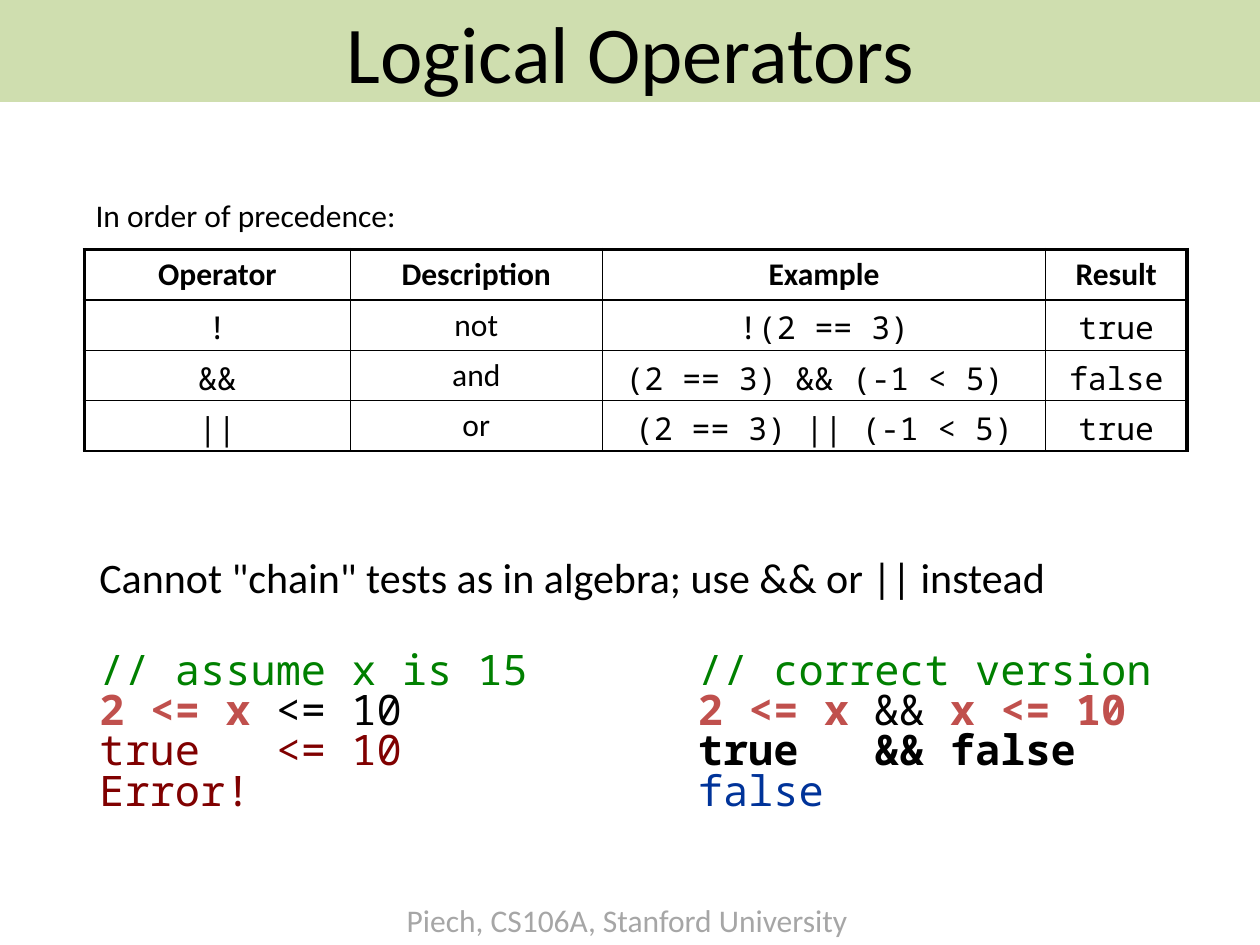
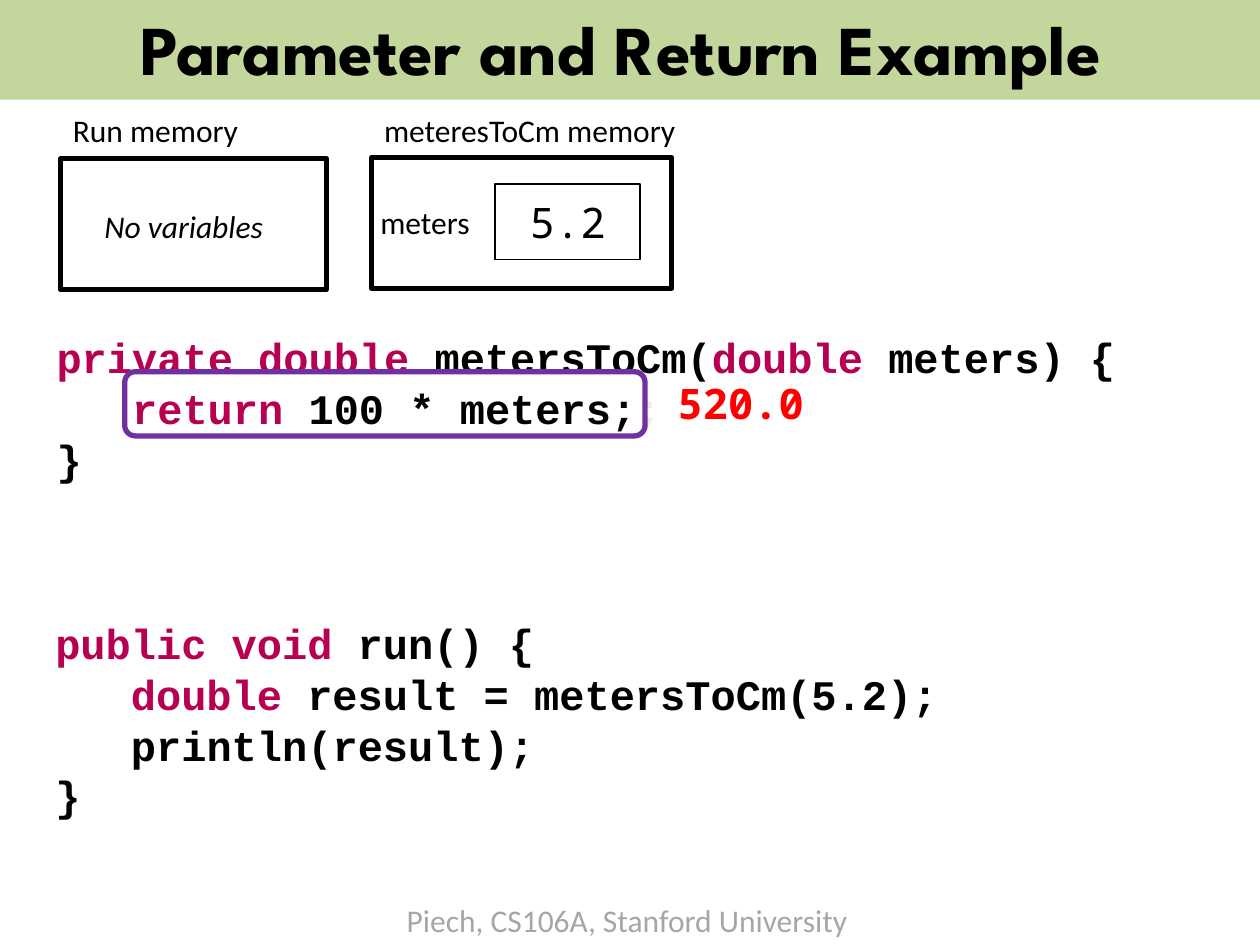
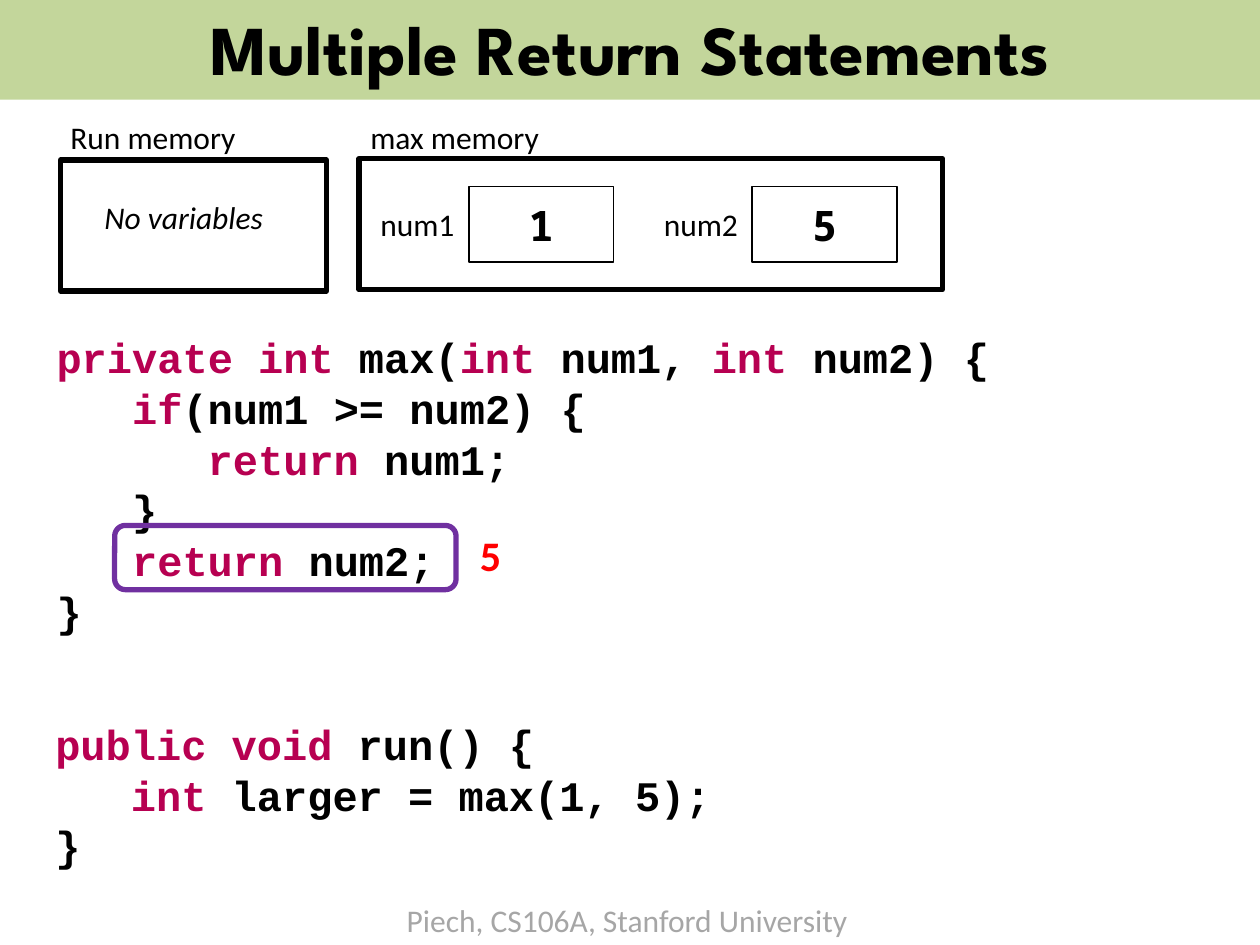
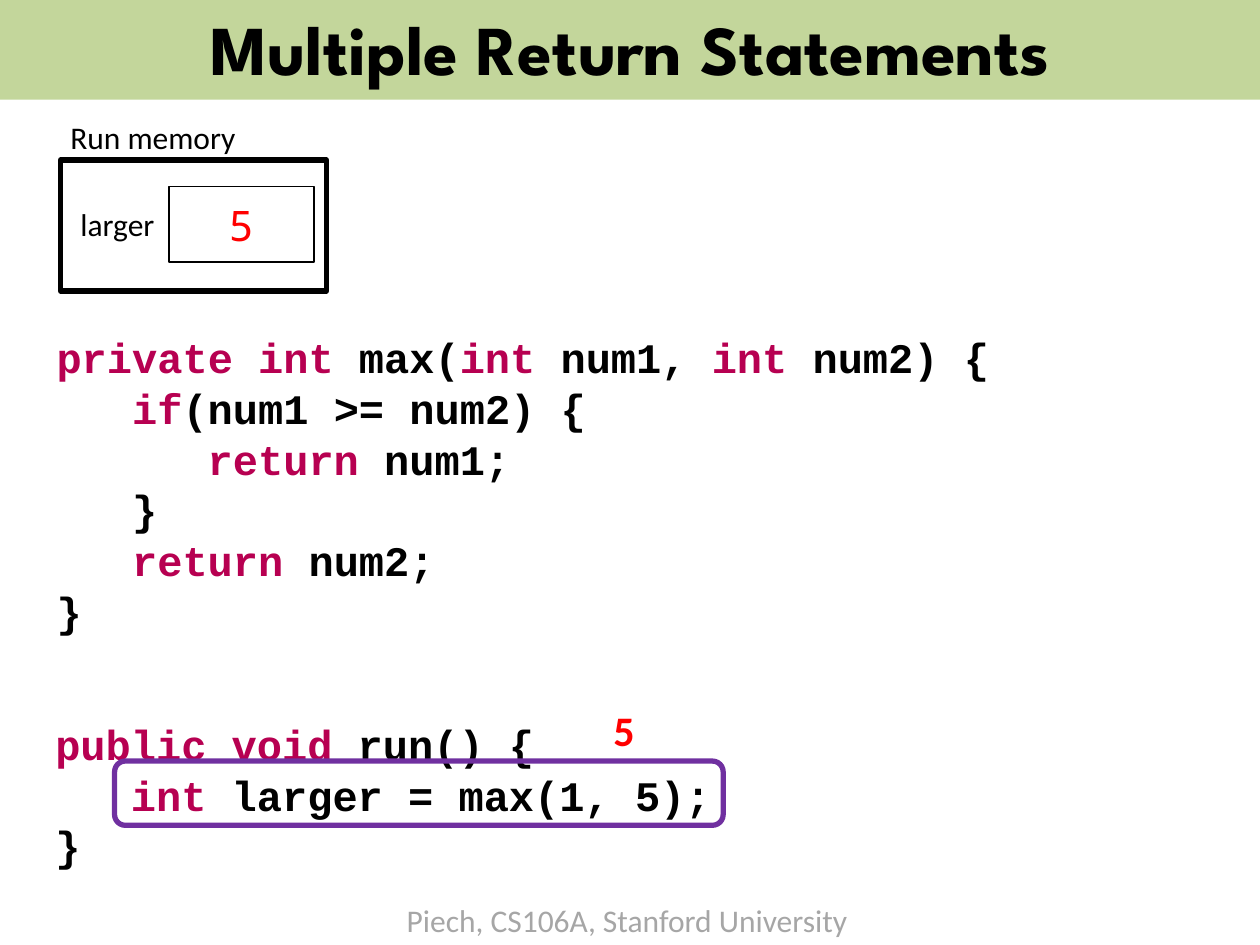
from lxml.etree import SubElement
from pptx import Presentation
from pptx.dml.color import RGBColor
from pptx.enum.shapes import MSO_SHAPE as SHAPE
from pptx.enum.text import MSO_ANCHOR as ANCHOR, MSO_AUTO_SIZE as AUTO, PP_ALIGN as ALIGN
from pptx.oxml.ns import qn
from pptx.util import Inches, Pt

BLACK, GREEN, GREY, PALE = "000000", "C3D69B", "A6A6A6", "EEECE1"
KEYWORD, PURPLE, RED = "B70051", "7030A0", "FF0000"
COMMENT, BRICK, MAROON, NAVY = "008000", "C0504D", "800000", "003399"
SANS, TITLE, MONO, CODE = "Calibri", "League Spartan", "Noto Sans Mono", "Courier New"
FOOTER = "Piech, CS106A, Stanford University"
COLUMNS, ROWS = 100, 75


def rgb(hex_string):
    """Turn a hex string into a colour."""
    return RGBColor.from_string(hex_string)


def code_runs(line):
    """Split a code line into runs; backquotes enclose keywords."""
    return [(text, KEYWORD if i % 2 else BLACK, True)
            for i, text in enumerate(line.split("`")) if text]


class Deck:
    """Lecture slides on a grid of 100 columns by 75 rows."""

    def __init__(self):
        """Start an empty 4:3 presentation."""
        self.prs = Presentation()
        self.prs.slide_width, self.prs.slide_height = Inches(10), Inches(7.5)
        self.s = None

    def place(self, x, y, w, h):
        """Turn grid units into lengths."""
        col = self.prs.slide_width / COLUMNS
        row = self.prs.slide_height / ROWS
        return round(x * col), round(y * row), round(w * col), round(h * row)

    def style(self, font, size=18, color=BLACK, name=SANS, bold=False, italic=False):
        """Format a font."""
        font.size, font.name, font.bold, font.italic = Pt(size), name, bold, italic
        font.color.rgb = rgb(color)

    def slide(self, title, y=-0.3, h=8.2, size=40, name=TITLE, bold=True, alpha=None):
        """Add a slide with its title band and footer."""
        self.s = self.prs.slides.add_slide(self.prs.slide_layouts[6])
        self.text(FOOTER, 31.3, 71, 37.4, color=GREY)
        band = self.shape(0, y, 100, h, text=title, fill=GREEN, size=size, name=name, bold=bold)
        if alpha:
            color = band.fill._xPr.find(qn("a:solidFill"))[0]
            SubElement(color, qn("a:alpha"), val=str(alpha * 1000))

    def shape(self, x, y, w, h, kind=SHAPE.RECTANGLE, text="", fill=None,
              line=None, width=1, **font):
        """Add a preset shape with centred text."""
        sp = self.s.shapes.add_shape(kind, *self.place(x, y, w, h))
        sp.shadow.inherit = False
        if fill:
            sp.fill.solid()
            sp.fill.fore_color.rgb = rgb(fill)
        else:
            sp.fill.background()
        if line:
            sp.line.color.rgb = rgb(line)
            sp.line.width = Pt(width)
        else:
            sp.line.fill.background()
        if text:
            tf = sp.text_frame
            tf.text = text
            tf.vertical_anchor = ANCHOR.MIDDLE
            tf.paragraphs[0].alignment = ALIGN.CENTER
            self.style(tf.paragraphs[0].runs[0].font, **font)
        return sp

    def text(self, text, x, y, w, h=4, **font):
        """Add a one-line label."""
        tf = self.s.shapes.add_textbox(*self.place(x, y, w, h)).text_frame
        tf.word_wrap = False
        tf.auto_size = AUTO.SHAPE_TO_FIT_TEXT
        tf.text = text
        self.style(tf.paragraphs[0].runs[0].font, **font)
        return tf

    def fill_runs(self, p, runs, name):
        """Fill a paragraph with (text, colour, bold) runs."""
        for text, color, bold in runs:
            r = p.add_run()
            r.text = text
            self.style(r.font, 24, color, name, bold)

    def code(self, lines, x, y):
        """Add a block of code, one paragraph a line."""
        box = self.s.shapes.add_textbox(*self.place(x, y, 93.2, 4 * len(lines) + 1))
        tf = box.text_frame
        tf.word_wrap = True
        for i, line in enumerate(lines):
            p = tf.add_paragraph() if i else tf.paragraphs[0]
            p.line_spacing = Pt(29)
            self.fill_runs(p, code_runs(line), CODE)
        return tf

    def comparison(self, heading, rows, x, y, w, h):
        """Add a heading above two tabbed columns of code."""
        tf = self.text(heading, x, y, w, h, size=24)
        for i, runs in enumerate(rows):
            p = tf.add_paragraph()
            p.line_spacing = 0.8
            if i == 0:
                p.space_before = Pt(29)
            self.fill_runs(p, runs, MONO)
        for p in tf.paragraphs:
            tabs = SubElement(p._p.get_or_add_pPr(), qn("a:tabLst"))
            SubElement(tabs, qn("a:tab"), pos=str(Inches(4.75)), algn="l")

    def border(self, cell, widths):
        """Draw the left, right, top and bottom borders of a cell."""
        tcPr = cell._tc.get_or_add_tcPr()
        for i, (side, width) in enumerate(zip("LRTB", widths)):
            ln = SubElement(tcPr, qn(f"a:ln{side}"), w=str(Pt(width)))
            SubElement(SubElement(ln, qn("a:solidFill")), qn("a:srgbClr"), val=BLACK)
            tcPr.insert(i, ln)

    def table(self, rows, x, y, widths, row_height):
        """Add a ruled table with a bold header and a heavier frame."""
        frame = self.s.shapes.add_table(
            len(rows), len(widths), *self.place(x, y, sum(widths), row_height * len(rows)))
        tbl = frame.table
        tbl.first_row = tbl.horz_banding = False
        for j, width in enumerate(widths):
            tbl.columns[j].width = self.place(0, 0, width, 0)[2]
        for i, row in enumerate(rows):
            for j, text in enumerate(row):
                cell = tbl.cell(i, j)
                cell.fill.background()
                cell.margin_top, cell.margin_bottom = Inches(0.05), 0
                cell.text = text
                p = cell.text_frame.paragraphs[0]
                p.alignment = ALIGN.CENTER
                name = SANS if i == 0 or j == 1 else MONO
                self.style(p.runs[0].font, name=name, bold=i == 0)
                outer = (j == 0, j == len(row) - 1, i == 0, False)
                self.border(cell, [2.25 if edge else 1 for edge in outer])

    def memory(self, label, x, w, label_x, label_w, y=12.7, label_y=8.9):
        """Add a labelled memory frame."""
        self.shape(x, y, w, 10.4, line=BLACK, width=3)
        self.text(label, label_x, label_y, label_w)

    def variable(self, name, value, x, y=14.8, gap=8, **font):
        """Add a variable name with its value box."""
        self.text(name, x, y + 1, gap)
        self.shape(x + gap, y, 11.5, 6, text=value, line=BLACK, size=24, name=MONO, **font)

    def highlight(self, x, y, w):
        """Outline the current line of code."""
        self.shape(x, y, w, 5.1, SHAPE.ROUNDED_RECTANGLE, line=PURPLE, width=3)

    def result(self, value, x, y, w, name=SANS):
        """Show the value that a line of code gives."""
        self.text(value, x, y, w, 5, size=24, color=RED, name=name, bold=True)


def operators(deck):
    """Build the slide on logical operators."""
    deck.slide("Logical Operators", 0, 8.1, size=46, name=SANS, bold=False, alpha=80)
    deck.text("In order of precedence:", 6.6, 15.1, 28.1)
    deck.table([
        ("Operator", "Description", "Example", "Result"),
        ("!", "not", "!(2 == 3)", "true"),
        ("&&", "and", "(2 == 3) && (-1 < 5) ", "false"),
        ("||", "or", "(2 == 3) || (-1 < 5)", "true"),
    ], 6.7, 19.8, (21.1, 20, 35.2, 11.2), 4)
    deck.comparison('Cannot "chain" tests as in algebra; use && or || instead', [
        [("// assume x is 15\t// correct version", COMMENT, False)],
        [("2 <= x", BRICK, True), (" <= 10\t", BLACK, False), ("2 <= x", BRICK, True),
         (" && ", BLACK, False), ("x <= 10", BRICK, True)],
        [("true   <= 10\t", MAROON, False), ("true   && false", BLACK, True)],
        [("Error!\t", MAROON, False), ("false", NAVY, False)],
    ], 6.9, 43.3, 86.3, 25)


def parameter_example(deck):
    """Build the slide that follows a parameter and its return value."""
    deck.slide("Parameter and Return Example ")
    tf = deck.code(["`private double `metersToCm(`double `meters) {",
                    "   `return `100 * meters;",
                    "}"], 3.5, 25.8)
    deck.fill_runs(tf.paragraphs[1], [(";", PALE, True)], CODE)
    deck.code(["`public void `run() {",
               "   `double` result = metersToCm(5.2);",
               "   println(result);",
               "}"], 3.4, 48.5)
    deck.memory("Run memory", 4.8, 21.1, 4.8, 15.3, 12.6, 8.3)
    deck.text("No variables", 7.3, 15.9, 15.3, italic=True)
    deck.memory("meteresToCm memory", 29.5, 23.8, 29.5, 25.4, 12.5, 8.3)
    deck.variable("meters", "5.2", 29.2, 14.6, 10.1)
    deck.highlight(9.9, 29.5, 41.3)
    deck.result("520.0", 52.8, 29.5, 12.1, MONO)


def multiple_returns(deck):
    """Start a slide on the max method and its caller."""
    deck.slide("Multiple Return Statements")
    deck.code(["`private int `max(`int `num1, `int `num2) {",
               "   `if`(num1 >= num2) {",
               "      `return `num1;",
               "   }",
               "   `return `num2;",
               "}"], 3.5, 25.8)
    deck.code(["`public void `run() {",
               "   `int` larger = max(1, 5);",
               "}"], 3.4, 56.5)
    deck.memory("Run memory", 4.8, 21.1, 4.6, 15.3)


def inside_max(deck):
    """Show the memory while max runs."""
    multiple_returns(deck)
    deck.text("No variables", 7.3, 15.2, 15.3, italic=True)
    deck.memory("max memory", 28.5, 46.3, 28.4, 15.5, 12.6)
    for i, value in enumerate("15"):
        deck.variable(f"num{i + 1}", value, 29.2 + 22.5 * i, bold=True)
    deck.highlight(9.1, 41.7, 27.1)
    deck.result("5", 37.1, 41.5, 3.7)


def after_max(deck):
    """Show the memory once max has returned."""
    multiple_returns(deck)
    deck.variable("larger", "5", 5.4, color=RED)
    deck.highlight(9.1, 60.4, 48.3)
    deck.result("5", 47.7, 55.4, 3.7)


def main():
    """Build and save the slides."""
    deck = Deck()
    for build in (operators, parameter_example, inside_max, after_max):
        build(deck)
    deck.prs.save("out.pptx")


if __name__ == "__main__":
    main()
